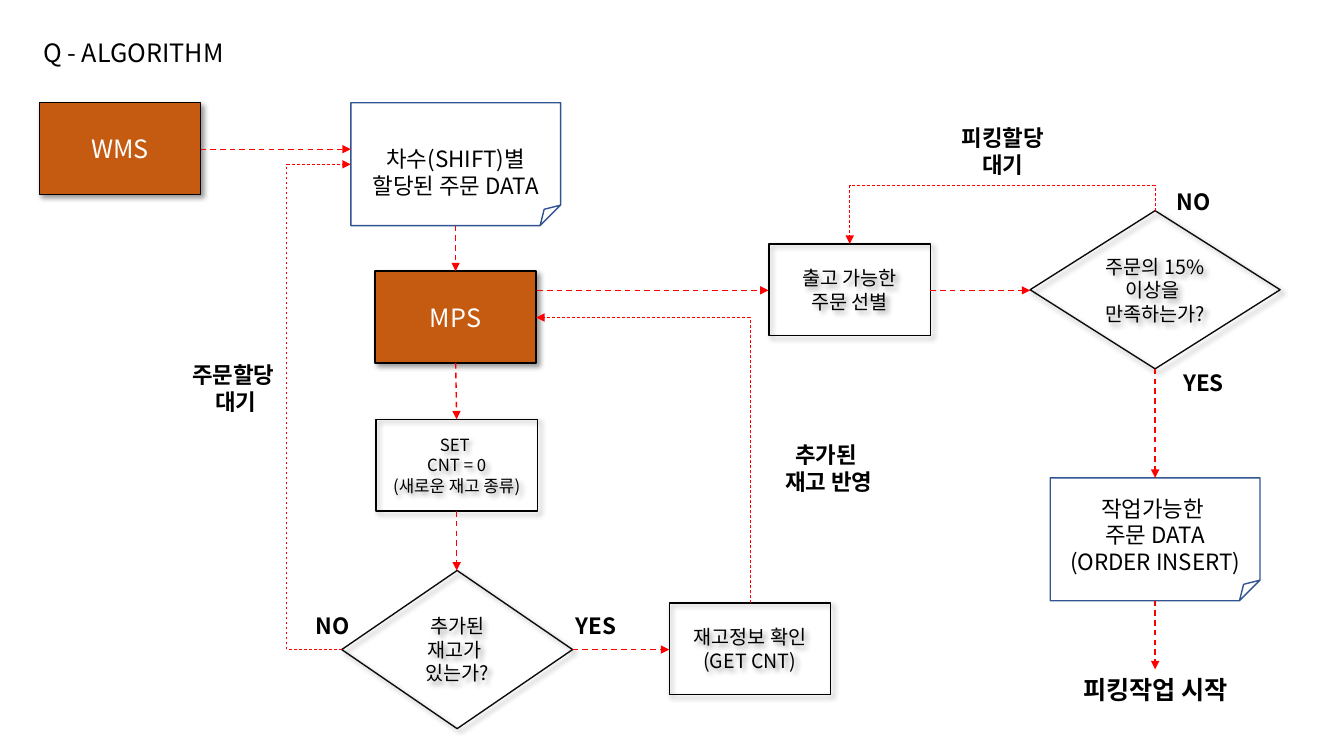
from lxml import etree
from pptx import Presentation
from pptx.dml.color import RGBColor
from pptx.enum.dml import MSO_LINE
from pptx.enum.shapes import MSO_CONNECTOR as LINK, MSO_SHAPE as SHAPE
from pptx.enum.text import MSO_ANCHOR as ANCHOR, MSO_AUTO_SIZE as AUTO, PP_ALIGN as ALIGN
from pptx.oxml.ns import qn
from pptx.util import Pt

FONT = "Noto Sans CJK KR"
COLORS = {"black": "000000", "white": "FFFFFF", "system": "C55A11",
          "outline": "0D0D0D", "document": "325491", "flow": "FF0000"}
color = {name: RGBColor.from_string(code) for name, code in COLORS.items()}

prs = Presentation()
prs.slide_width, prs.slide_height = Pt(960), Pt(540)
slide = prs.slides.add_slide(prs.slide_layouts[6])
shapes = slide.shapes


def write(holder, text, size=16, ink="black", bold=False, align=ALIGN.CENTER,
          anchor=ANCHOR.TOP, top=3.6):
    frame = holder.text_frame
    frame.word_wrap = True
    frame.vertical_anchor = anchor
    frame.margin_top = Pt(top)
    for i, line in enumerate(text.split("\n")):
        paragraph = frame.add_paragraph() if i else frame.paragraphs[0]
        paragraph.alignment = align
        run = paragraph.add_run()
        run.text = line
        run.font.name, run.font.size, run.font.bold = FONT, Pt(size), bold
        run.font.color.rgb = color[ink]
        etree.SubElement(run.font._element, qn("a:ea"), typeface=FONT)


# Flow steps: systems, processes, decisions and documents
BOX_W, BOX_H = 115.2, 65.6
DECISION_H = 113
DOC_W, DOC_H = 149.8, 87.8
MID = ANCHOR.MIDDLE
system = dict(size=18, ink="white", anchor=MID)
process = dict(size=14, anchor=MID)
steps = [
    (SHAPE.FOLDED_CORNER, 250.6, 73.4, DOC_W, DOC_H, "document",
     "차수(SHIFT)별\n할당된 주문 DATA", dict(anchor=MID, top=30)),
    (SHAPE.RECTANGLE, 267.8, 193.7, BOX_W, BOX_H, "black", "MPS", system),
    (SHAPE.FLOWCHART_DECISION, 244.1, 407.5, 164.9, DECISION_H, "outline",
     "추가된\n재고가 \n있는가?", process),
    (SHAPE.RECTANGLE, 268.6, 299.5, BOX_W, BOX_H, "black",
     "SET \nCNT = 0\n(새로운 재고 종류)", dict(size=12, anchor=MID)),
    (SHAPE.RECTANGLE, 478.1, 430.6, BOX_W, BOX_H, "black",
     "재고정보 확인\n(GET CNT)", process),
    (SHAPE.RECTANGLE, 28.1, 73.4, BOX_W, BOX_H, "black", "WMS", system),
    (SHAPE.RECTANGLE, 549.4, 174.2, BOX_W, BOX_H, "black",
     "출고 가능한\n주문 선별", process),
    (SHAPE.FLOWCHART_DECISION, 735.8, 150.5, 178.6, DECISION_H, "outline",
     "주문의 15%\n이상을 \n만족하는가?", process),
    (SHAPE.FOLDED_CORNER, 750.2, 341.3, DOC_W, DOC_H, "document",
     "작업가능한 \n주문 DATA\n(ORDER INSERT)", dict(anchor=ANCHOR.BOTTOM)),
]
for kind, x, y, w, h, outline, text, style in steps:
    step = shapes.add_shape(kind, Pt(x), Pt(y), Pt(w), Pt(h))
    if style is system:
        step.fill.solid()
        step.fill.fore_color.rgb = color["system"]
    else:
        step.fill.background()
    step.line.color.rgb = color[outline]
    step.line.width = Pt(1)
    step.shadow.inherit = False
    if kind != SHAPE.FOLDED_CORNER:
        effects = step._element.spPr.find(qn("a:effectLst"))
        shadow = etree.SubElement(effects, qn("a:outerShdw"), blurRad=str(Pt(4)),
                                  dist=str(Pt(3)), dir="2700000", algn="tl", rotWithShape="0")
        tint = etree.SubElement(shadow, qn("a:srgbClr"), val=COLORS["black"])
        etree.SubElement(tint, qn("a:alpha"), val="40000")
    write(step, text, **style)

# Flow arrows: start, end, width, route, bend position as a share of the span
flows = [
    ((325.5, 161.2), (325.5, 193.7), 1, "straight", None),
    ((325.5, 259.3), (326.2, 299.5), 1, "straight", None),
    ((326.2, 365.1), (326.2, 407.5), 1, "straight", None),
    ((409, 464), (478.1, 464), 1, "straight", None),
    ((143.3, 106.6), (250.6, 106.6), 1, "straight", None),
    ((383.8, 207.4), (549, 207.4), 1, "straight", None),
    ((664.6, 207.4), (735.8, 207.4), 1, "straight", None),
    ((825.1, 263.5), (825.1, 341.3), 1, "straight", None),
    ((825.1, 429.1), (825.1, 478.1), 1, "straight", None),
    ((244.1, 464), (250.6, 117.4), 0.5, "across", -6.04),
    ((535.7, 430.6), (383, 226.8), 0.5, "up", None),
    ((825.1, 150.5), (607, 174.2), 0.5, "up", -0.76),
]
for start, end, width, route, bend in flows:
    ends = [start, end]
    if route == "up":  # laid out sideways, then turned 270 degrees
        mid_x, mid_y = (start[0] + end[0]) / 2, (start[1] + end[1]) / 2
        ends = [(mid_x + mid_y - y, mid_y + x - mid_x) for x, y in ends]
    kind = LINK.STRAIGHT if route == "straight" else LINK.ELBOW
    flow = shapes.add_connector(kind, *[Pt(v) for point in ends for v in point])
    flow.line.color.rgb = color["flow"]
    flow.line.width = Pt(width)
    flow.line.dash_style = MSO_LINE.DASH
    props = flow._element.spPr
    etree.SubElement(props.find(qn("a:ln")), qn("a:tailEnd"), type="triangle")
    etree.SubElement(props, qn("a:effectLst"))
    geometry = props.find(qn("a:prstGeom"))
    if route == "up":
        props.find(qn("a:xfrm")).set("rot", "16200000")
        if bend is None:
            geometry.set("prst", "bentConnector2")
    if bend is not None:
        etree.SubElement(geometry.find(qn("a:avLst")), qn("a:gd"), name="adj1",
                         fmla=f"val {round(bend * 100000)}")

# Title, branch labels and end point
label = dict(bold=True)
labels = [
    (23.8, 23, 203, 28.8, "Q - ALGORITHM", dict(size=18, align=ALIGN.LEFT)),
    (118.1, 254.2, 100.8, 46, "주문할당 \n대기", label),
    (395.3, 433.4, 60.5, 26.6, "YES", label),
    (207.4, 433.4, 60.5, 26.6, "NO", label),
    (667.4, 85, 98, 46, "피킹할당\n대기", label),
    (542.9, 311.8, 98, 46, "추가된 \n재고 반영", label),
    (822.2, 131, 60.5, 26.6, "NO", label),
    (829.4, 259.9, 60.5, 26.6, "YES", label),
    (757.4, 478.1, 136, 28.8, "피킹작업 시작", dict(size=18, bold=True)),
]
for x, y, w, h, text, style in labels:
    caption = shapes.add_textbox(Pt(x), Pt(y), Pt(w), Pt(h))
    write(caption, text, **style)
    caption.text_frame.auto_size = AUTO.SHAPE_TO_FIT_TEXT

prs.save("out.pptx")
